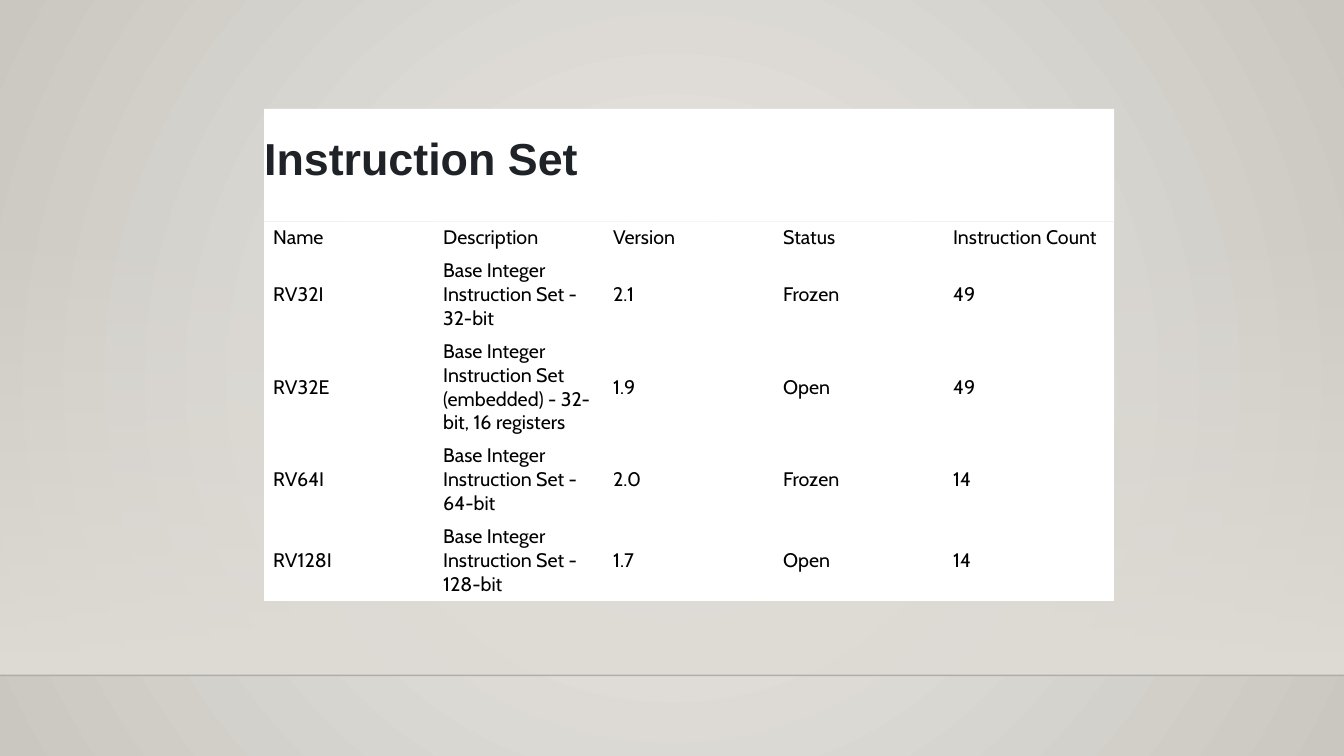
"""Build the instruction set slide: a titled table on a soft stone backdrop."""
from lxml.etree import SubElement as Sub
from pptx import Presentation
from pptx.dml.color import RGBColor
from pptx.enum.shapes import MSO_CONNECTOR as Link, MSO_SHAPE as Form
from pptx.enum.text import MSO_ANCHOR as Anchor
from pptx.oxml import parse_xml
from pptx.oxml.ns import nsdecls, qn
from pptx.util import Inches, Pt


def paint(fill, tone):
    """Give a fill one solid colour."""
    fill.solid()
    fill.fore_color.rgb = RGBColor.from_string(tone)


def blend(fill, root, stops, way):
    """Give a fill a gradient of (share, colour, opacity) stops."""
    fill.gradient()
    old = next(root.iter(qn("a:gradFill")))
    marks = "".join(
        f'<a:gs pos="{share * 1000}"><a:srgbClr val="{tone}">'
        f'<a:alpha val="{alpha * 1000}"/></a:srgbClr></a:gs>'
        for share, tone, alpha in stops)
    new = parse_xml(f'<a:gradFill {nsdecls("a")} rotWithShape="1">'
                    f'<a:gsLst>{marks}</a:gsLst>{way}</a:gradFill>')
    old.getparent().replace(old, new)


deck = Presentation()
deck.slide_width, deck.slide_height = Inches(13.33), Inches(7.5)
wide = deck.slide_width
slide = deck.slides.add_slide(deck.slide_layouts[6])
shapes = slide.shapes

blend(slide.background.fill, slide.element,
      [(0, "ECEAE7", 100), (100, "CAC7C1", 100)],
      '<a:path path="circle"><a:fillToRect l="50000" t="50000" '
      'r="50000" b="50000"/></a:path>')

floor = Inches(6.7)
wall = shapes.add_shape(Form.RECTANGLE, 0, Inches(2.21), wide, Inches(4.49))
wall.shadow.inherit = False
wall.line.fill.background()
blend(wall.fill, wall.element, [(0, "DFDBD5", 0), (100, "DFDBD5", 100)],
      '<a:lin ang="5400000" scaled="0"/>')

edge = shapes.add_connector(Link.STRAIGHT, 0, floor, wide, floor)
edge.line.width = Pt(1)
paint(edge.line.fill, "000001")
tint = next(edge.element.iter(qn("a:srgbClr")))
Sub(tint, qn("a:alpha"), val="20000")
Sub(edge.element.spPr, qn("a:effectLst"))

left, top, span = Inches(2.62), Inches(2.2), Inches(8.43)
rows = [
    ("Name", "Description", "Version", "Status", "Instruction Count"),
    ("RV32I", "Base Integer Instruction Set - 32-bit", "2.1", "Frozen", "49"),
    ("RV32E", "Base Integer Instruction Set (embedded) - 32-bit, 16 registers",
     "1.9", "Open", "49"),
    ("RV64I", "Base Integer Instruction Set - 64-bit", "2.0", "Frozen", "14"),
    ("RV128I", "Base Integer Instruction Set - 128-bit", "1.7", "Open", "14"),
]
highs = [0.32, 0.8, 1.04, 0.8, 0.8]
pad = {"margin_left": Inches(0.09), "margin_right": Inches(0.09),
       "margin_top": Inches(0.04), "margin_bottom": Inches(0.04),
       "vertical_anchor": Anchor.MIDDLE}

frame = shapes.add_table(len(rows), len(rows[0]), left, top, span,
                         Inches(sum(highs)))
table = frame.table
table.first_row = table.horz_banding = False
style = next(frame.element.iter(qn("a:tableStyleId")))
style.text = "{2D5ABB26-0587-4C30-8999-92F81FD0307C}"
for r, (row, high) in enumerate(zip(rows, highs)):
    table.rows[r].height = Inches(high)
    for c, text in enumerate(row):
        cell = table.cell(r, c)
        cell.text = text
        paint(cell.fill, "FFFFFF")
        for key, value in pad.items():
            setattr(cell, key, value)
        font = cell.text_frame.paragraphs[0].runs[0].font
        font.name, font.size = "Cabin", Pt(14)
        paint(font.fill, "000000")

title = shapes.add_textbox(left, Inches(1.08), span, Inches(1.12))
paint(title.fill, "FFFFFF")
body = title.text_frame
look = {"word_wrap": True, "vertical_anchor": Anchor.TOP,
        "margin_left": 0, "margin_right": 0,
        "margin_top": Inches(0.22), "margin_bottom": Inches(0.11)}
for key, value in look.items():
    setattr(body, key, value)
body.text = "Instruction Set"
font = body.paragraphs[0].runs[0].font
font.name, font.size, font.bold = "Arial", Pt(32), True
paint(font.fill, "1F2328")

deck.save("out.pptx")
